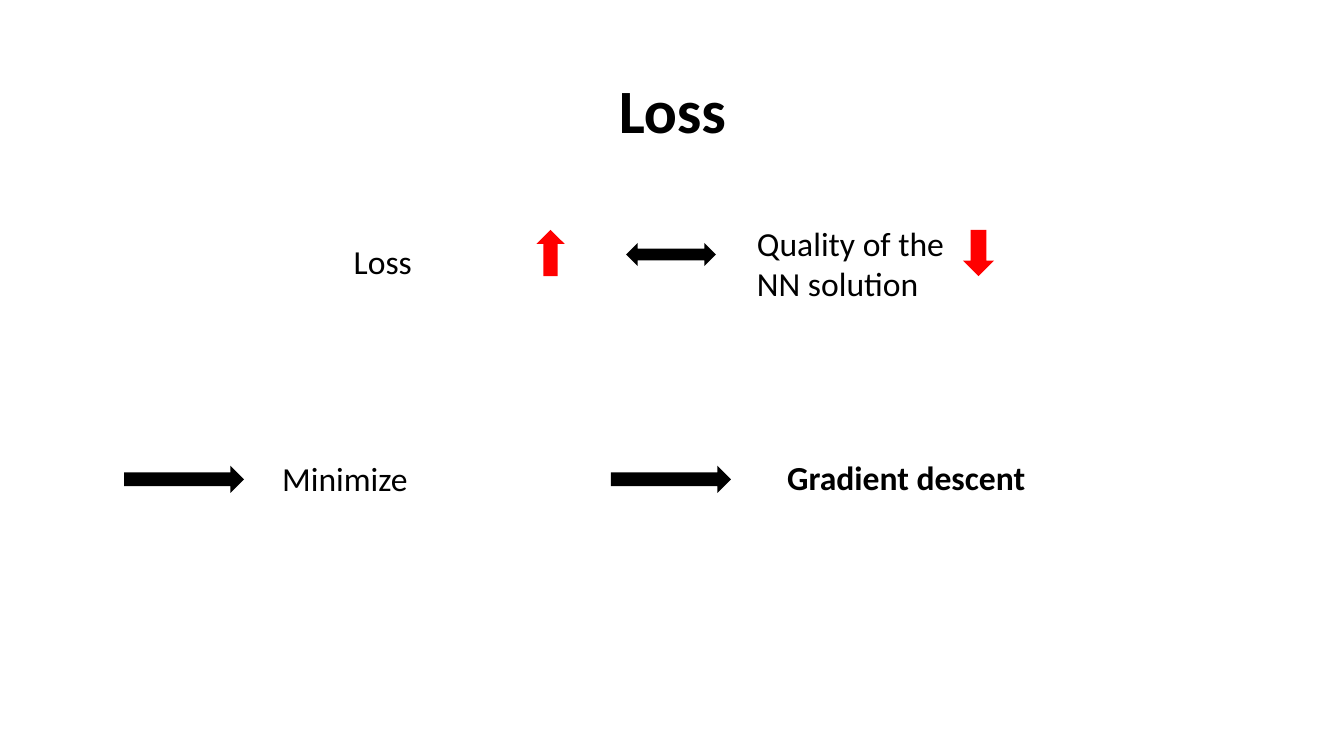
from pptx import Presentation
from pptx.dml.color import RGBColor
from pptx.enum.shapes import MSO_SHAPE as SHAPE
from pptx.enum.text import MSO_ANCHOR, PP_ALIGN
from pptx.util import Inches, Pt

COLORS = {"black": "000000", "red": "FF0000"}
TITLE = ("Loss", (0.92, 0.4, 11.5, 1.45))
LABELS = [
    ("Loss", (3.41, 2.34, 1.89, 0.5), False),
    ("Quality of the NN solution", (7.41, 2.16, 2.14, 0.91), False),
    ("Minimize", (2.7, 4.49, 2.37, 0.5), False),
    ("Gradient descent", (7.71, 4.48, 2.67, 0.5), True),
]
ARROWS = [
    (SHAPE.UP_ARROW, (5.32, 2.28, 0.28, 0.46), 0, "red"),
    (SHAPE.UP_ARROW, (9.55, 2.28, 0.31, 0.46), 180, "red"),
    (SHAPE.LEFT_RIGHT_ARROW, (6.21, 2.41, 0.89, 0.23), 0, "black"),
    (SHAPE.RIGHT_ARROW, (1.23, 4.62, 1.19, 0.27), 0, "black"),
    (SHAPE.RIGHT_ARROW, (6.06, 4.62, 1.19, 0.27), 0, "black"),
]


def inches(box):
    return [Inches(v) for v in box]


def color(name):
    return RGBColor.from_string(COLORS[name])


def write(tf, text, size, bold):
    tf.word_wrap = True
    p = tf.paragraphs[0]
    p.text = text
    p.font.name = "Calibri"
    p.font.size = Pt(size)
    p.font.bold = bold
    p.font.color.rgb = color("black")
    return p


def main():
    prs = Presentation()
    prs.slide_width, prs.slide_height = Inches(13.33), Inches(7.5)
    s = prs.slides.add_slide(prs.slide_layouts[5])

    text, box = TITLE
    title = s.shapes.title
    title.left, title.top, title.width, title.height = inches(box)
    title.text_frame.vertical_anchor = MSO_ANCHOR.MIDDLE
    p = write(title.text_frame, text, 44, True)
    p.alignment = PP_ALIGN.CENTER
    p.line_spacing = 0.9

    for text, box, bold in LABELS:
        write(s.shapes.add_textbox(*inches(box)).text_frame, text, 24, bold)

    for kind, box, rotation, fill in ARROWS:
        sp = s.shapes.add_shape(kind, *inches(box))
        sp.rotation = rotation
        sp.shadow.inherit = False
        sp.fill.solid()
        sp.fill.fore_color.rgb = color(fill)
        sp.line.fill.background()

    prs.save("out.pptx")


if __name__ == "__main__":
    main()
